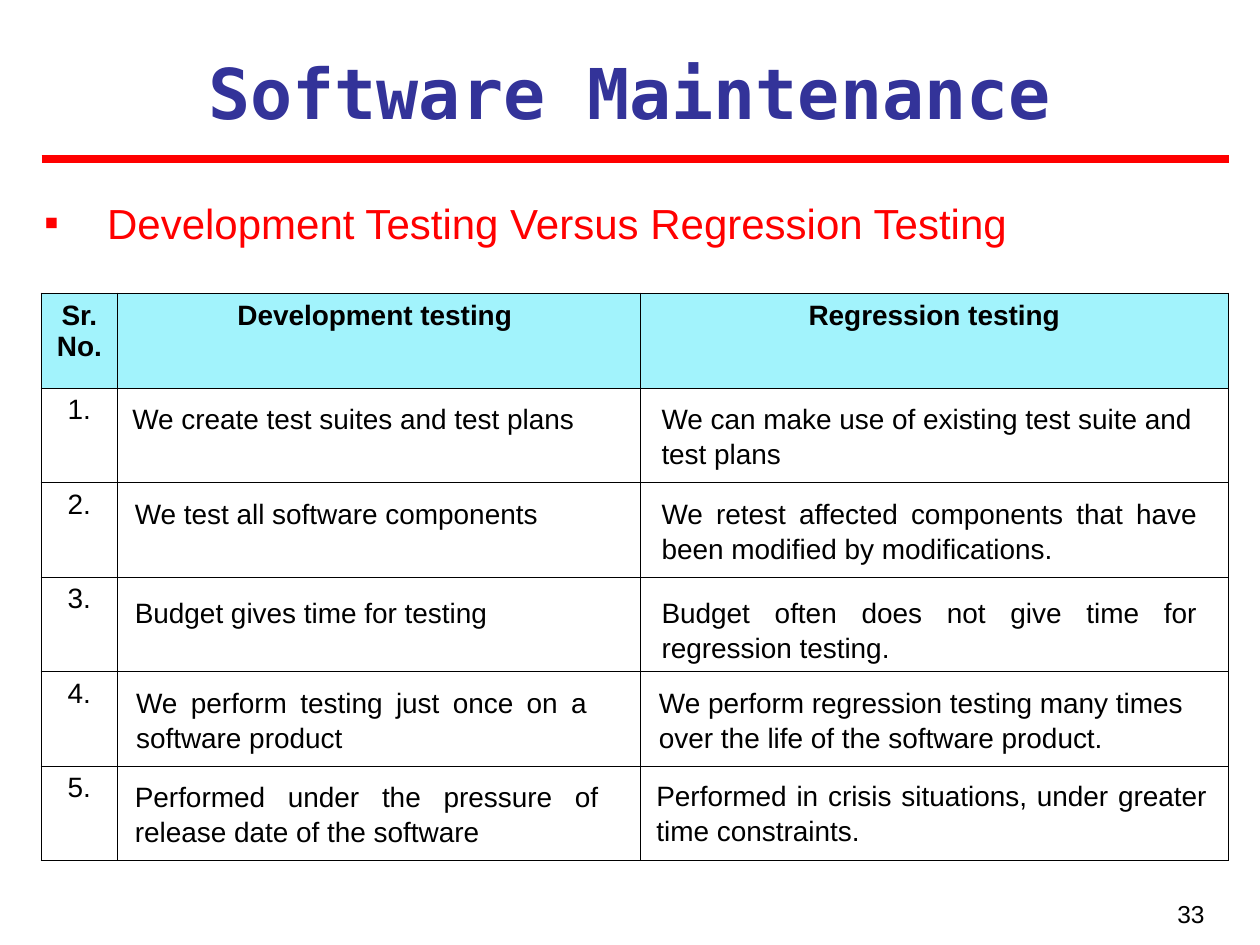
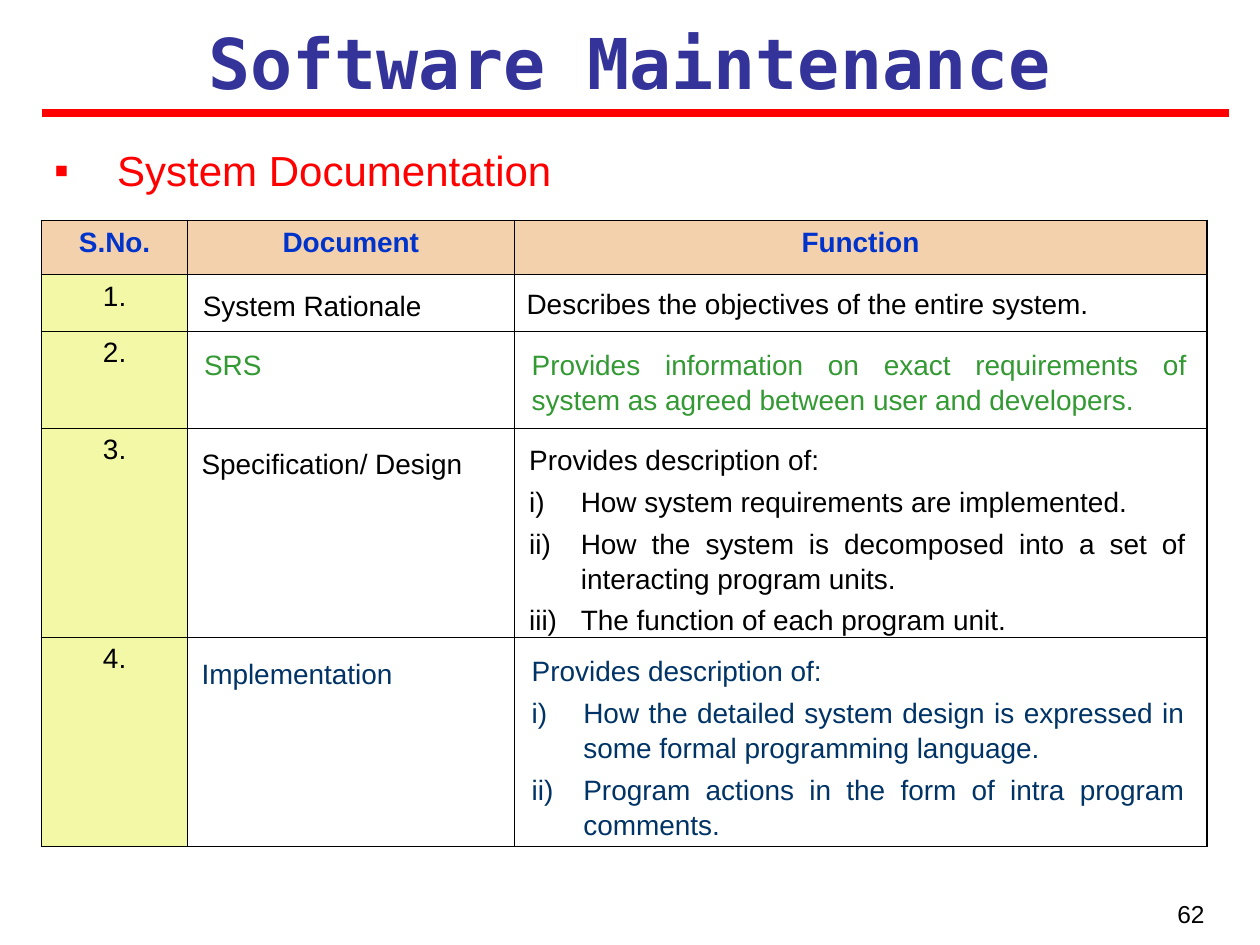
from dataclasses import dataclass

from lxml.etree import SubElement
from pptx import Presentation
from pptx.dml.color import RGBColor
from pptx.enum.shapes import MSO_CONNECTOR
from pptx.enum.text import MSO_ANCHOR, MSO_AUTO_SIZE, PP_ALIGN
from pptx.oxml.ns import qn
from pptx.util import Inches, Pt


@dataclass(frozen=True)
class Theme:
    """Colours, fonts and sizes that the slides share."""
    sans: str = "Arial"
    mono: str = "DejaVu Sans Mono"
    black: str = "000000"
    red: str = "FF0000"
    indigo: str = "333399"
    blue: str = "0033CC"
    navy: str = "003366"
    green: str = "339933"
    aqua: str = "A2F3FC"
    peach: str = "F2D1AC"
    lemon: str = "F2F8A6"
    title: int = 40
    topic: int = 24
    text: int = 16
    foot: int = 14
    rule: float = 4.5
    outer: float = 1.08
    inner: float = 0.45
    lead: float = 1.04


THEME = Theme()
LEFT, CENTER, RIGHT, EVEN = PP_ALIGN.LEFT, PP_ALIGN.CENTER, PP_ALIGN.RIGHT, PP_ALIGN.JUSTIFY


def apply(item, values):
    """Set each named attribute of an item."""
    for name, value in values.items():
        setattr(item, name, value)


def place(shape, left, top, width, height):
    """Put a shape at a position given in inches."""
    names = ("left", "top", "width", "height")
    apply(shape, dict(zip(names, map(Inches, (left, top, width, height)))))


def frame(shape, side=0.1, edge=0.05):
    """Give a text frame its margins, wrapping and anchor."""
    apply(shape.text_frame, {
        "margin_left": Inches(side), "margin_right": Inches(side),
        "margin_top": Inches(edge), "margin_bottom": Inches(edge),
        "word_wrap": True, "auto_size": MSO_AUTO_SIZE.NONE,
        "vertical_anchor": MSO_ANCHOR.TOP})


def write(para, text, size=THEME.text, color=THEME.black, align=LEFT,
          bold=False, face=THEME.sans, lead=1.0, before=0):
    """Fill a paragraph with formatted text."""
    para.text = text
    apply(para, {"alignment": align, "line_spacing": lead, "space_before": Pt(before)})
    for run in para.runs:
        apply(run.font, {"size": Pt(size), "bold": bold, "name": face})
        run.font.color.rgb = RGBColor.from_string(color)


def bullet(para, indent, color, tag, **marks):
    """Add a hanging bullet or number to a paragraph."""
    props = para._p.get_or_add_pPr()
    props.set("marL", str(Inches(indent)))
    props.set("indent", str(-Inches(indent)))
    SubElement(SubElement(props, qn("a:buClr")), qn("a:srgbClr"), val=color)
    SubElement(props, qn("a:buFont"), typeface=THEME.sans)
    SubElement(props, qn(tag), **marks)


def add_box(slide, spot, lines, color=THEME.black, align=LEFT):
    """Add a text box whose lines after the first are numbered."""
    box = slide.shapes.add_textbox(0, 0, 0, 0)
    place(box, *spot)
    frame(box, 0, 0)
    for rank, line in enumerate(lines):
        para = box.text_frame.add_paragraph() if rank else box.text_frame.paragraphs[0]
        write(para, line, color=color, align=align, lead=THEME.lead, before=4 if rank else 0)
        if rank:
            bullet(para, 0.41, color, "a:buAutoNum", type="romanLcParenR")


def add_rule(slide, top):
    """Draw the red line under the title."""
    start, end, level = Inches(0.33), Inches(9.75), Inches(top)
    line = slide.shapes.add_connector(MSO_CONNECTOR.STRAIGHT, start, level, end, level)
    line.line.width = Pt(THEME.rule)
    line.line.color.rgb = RGBColor.from_string(THEME.red)
    SubElement(line._element.spPr, qn("a:effectLst"))


def add_page(deck, head, rule, topic, spot, number):
    """Add a slide with title, rule, topic and page number."""
    slide = deck.slides.add_slide(deck.slide_layouts[1])
    title, body = slide.placeholders
    place(title, 0.33, head, 9.33, 0.77)
    frame(title)
    write(title.text_frame.paragraphs[0], "Software Maintenance", THEME.title,
          THEME.indigo, CENTER, True, THEME.mono, THEME.lead)
    add_rule(slide, rule)
    place(body, *spot, 8.42, 0.5)
    frame(body)
    para = body.text_frame.paragraphs[0]
    write(para, topic, THEME.topic, THEME.red, lead=THEME.lead)
    bullet(para, 0.5, THEME.red, "a:buChar", char="▪")
    foot = slide.shapes.add_textbox(0, 0, 0, 0)
    place(foot, 7.33, 7.08, 2.33, 0.42)
    frame(foot)
    write(foot.text_frame.paragraphs[0], number, THEME.foot, align=RIGHT, lead=THEME.lead)
    return slide


def edge_cell(cell, edges):
    """Draw the four borders, heavier on the outer edges."""
    props = cell._tc.get_or_add_tcPr()
    for side, outer in zip("LRTB", edges):
        width = Pt(THEME.outer if outer else THEME.inner)
        line = SubElement(props, qn(f"a:ln{side}"), w=str(width))
        fill = SubElement(line, qn("a:solidFill"))
        SubElement(fill, qn("a:srgbClr"), val=THEME.black)


def add_grid(slide, top, cols, rows, heads, band, ink, tint=None):
    """Add a ruled table with a header row and numbered rows."""
    grid = slide.shapes.add_table(len(rows), len(cols), Inches(0.33), Inches(top),
                                  Inches(sum(cols)), Inches(sum(rows))).table
    apply(grid, {"first_row": False, "horz_banding": False})
    for col, width in zip(grid.columns, cols):
        col.width = Inches(width)
    for row, height in zip(grid.rows, rows):
        row.height = Inches(height)
    for r in range(len(rows)):
        for c in range(len(cols)):
            cell = grid.cell(r, c)
            edge_cell(cell, (c == 0, c == len(cols) - 1, r == 0, r == len(rows) - 1))
            shade = band if r == 0 else tint if c == 0 else None
            if shade:
                cell.fill.solid()
                cell.fill.fore_color.rgb = RGBColor.from_string(shade)
            else:
                cell.fill.background()
            para = cell.text_frame.paragraphs[0]
            if r == 0:
                write(para, heads[c], color=ink, align=CENTER, bold=True)
            elif c == 0:
                write(para, f"{r}.", align=CENTER)


def add_tests(deck):
    """Build the slide that compares two kinds of testing."""
    slide = add_page(deck, 0.32, 1.26, "Development Testing Versus Regression Testing",
                     (0.25, 1.5), "33")
    add_grid(slide, 2.33, (0.6, 4.15, 4.67), (0.75,) * 6,
             ("Sr.\vNo.", "Development testing ", "Regression testing"),
             THEME.aqua, THEME.black)
    notes = (
        (1.05, 3.18, 3.58, LEFT, "We create test suites and test plans"),
        (1.07, 3.93, 3.58, LEFT, "We test all software components"),
        (1.07, 4.72, 3.58, LEFT, "Budget gives time for testing"),
        (1.08, 5.43, 3.58, EVEN, "We perform testing just once on a software product"),
        (1.07, 6.18, 3.68, EVEN,
         "Performed under the pressure of release date of the software"),
        (5.25, 3.18, 4.35, LEFT, "We can make use of existing test suite and test plans"),
        (5.25, 3.93, 4.25, EVEN,
         "We retest affected components that have been modified by modifications."),
        (5.25, 4.72, 4.25, EVEN, "Budget often does not give time for regression testing."),
        (5.23, 5.43, 4.32, LEFT,
         "We perform regression testing many times over the life of the software product."),
        (5.21, 6.17, 4.37, EVEN,
         "Performed in crisis situations, under greater time constraints."),
    )
    for left, top, width, align, text in notes:
        height = 0.27 if len(text) < 40 else 0.53
        add_box(slide, (left, top, width, height), [text], align=align)


def add_docs(deck):
    """Build the slide that lists the system documents."""
    slide = add_page(deck, 0.08, 0.9, "System Documentation", (0.33, 1.08), "62")
    add_grid(slide, 1.75, (1.16, 2.59, 5.5), (0.43, 0.45, 0.77, 1.66, 1.66),
             ("S.No.", "Document", "Function"), THEME.peach, THEME.blue, THEME.lemon)
    names = (
        (1.61, 2.28, THEME.black, "System Rationale"),
        (1.62, 2.75, THEME.green, "SRS"),
        (1.6, 3.53, THEME.black, "Specification/ Design"),
        (1.6, 5.2, THEME.navy, "Implementation"),
    )
    for left, top, color, text in names:
        add_box(slide, (left, top, 2.33, 0.27), [text], color)
    roles = (
        ((4.18, 2.26, 5.17, 0.27), THEME.black,
         ["Describes the objectives of the entire system."]),
        ((4.22, 2.75, 5.2, 0.53), THEME.green,
         ["Provides information on exact requirements of system as agreed "
          "between user and developers."]),
        ((4.2, 3.5, 5.21, 1.5), THEME.black,
         ["Provides description of:",
          "How system requirements are implemented.",
          "How the system is decomposed into a set of interacting program units.",
          "The function of each program unit."]),
        ((4.22, 5.18, 5.18, 1.44), THEME.navy,
         ["Provides description of:",
          "How the detailed system design is expressed in some formal "
          "programming language.",
          "Program actions in the form of intra program comments."]),
    )
    for spot, color, lines in roles:
        add_box(slide, spot, lines, color, EVEN)


def main():
    """Build and save the slides."""
    deck = Presentation()
    apply(deck, {"slide_width": Inches(10), "slide_height": Inches(7.5)})
    add_tests(deck)
    add_docs(deck)
    deck.save("out.pptx")


if __name__ == "__main__":
    main()
